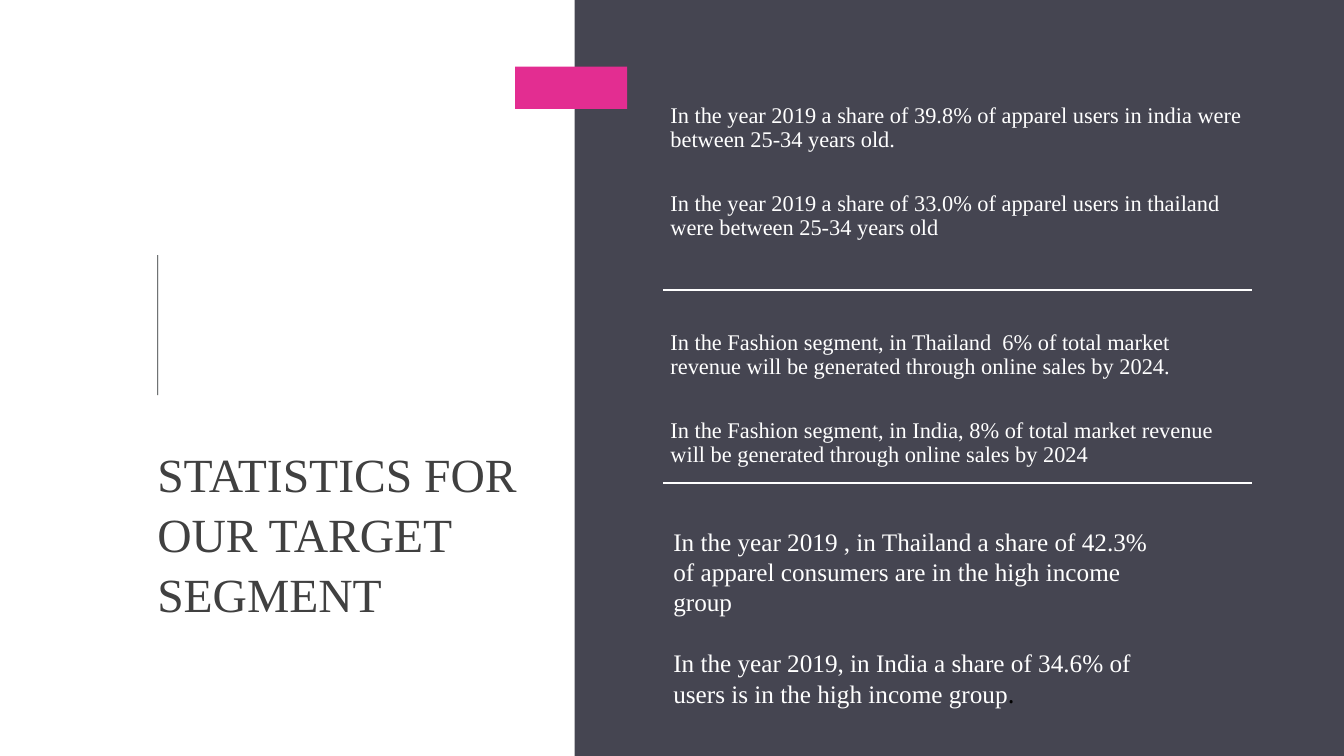
from lxml.etree import SubElement
from pptx import Presentation
from pptx.dml.color import RGBColor as RGB
from pptx.enum.shapes import MSO_CONNECTOR as Link, MSO_SHAPE as Shape
from pptx.enum.text import MSO_ANCHOR as Anchor, MSO_AUTO_SIZE as Fit
from pptx.oxml.ns import qn
from pptx.util import Inches, Pt

SERIF, SANS = "Times New Roman", "Open Sans"
HUES = {"panel": "454551", "rule": "24282B", "accent": "E32D91",
        "title": "404040", "white": "FFFFFF", "black": "000000"}

TITLE = "STATISTICS FOR OUR TARGET SEGMENT"
AGES = [
    "In the year 2019 a share of 39.8% of apparel users in india were between 25-34 years old.",
    "In the year 2019 a share of 33.0% of apparel users in thailand  were between 25-34 years old",
]
SALES = [
    "In the Fashion segment, in Thailand  6% of total market revenue will be generated through online sales by 2024.",
    "In the Fashion segment, in India, 8% of total market revenue will be generated through online sales by 2024",
]
INCOME = [
    "In the year 2019 , in Thailand a share of 42.3% of apparel consumers are in the high income group",
    "In the year 2019, in India a share of 34.6% of users is in the high income group",
]

# fill, left, top, width, height
BLOCKS = [
    ("panel", 5.7, 0, 7.63, 7.5),
    ("rule", 1.56, 2.53, 0.01, 1.39),
    ("accent", 5.11, 0.66, 1.11, 0.42),
]
LEFT, TOP, WIDE, ROW = 6.58, 0.96, 5.84, 1.915
PAD = 0.07
# texts, top inset
ROWS = [(AGES, PAD), (SALES, 0.41)]


def color(name):
    return RGB.from_string(HUES[name])


def add_run(para, text, size, hue="white", face=SERIF):
    run = para.add_run()
    run.text = text
    run.font.name, run.font.size = face, Pt(size)
    run.font.color.rgb = color(hue)


def set_pads(frame, left, top, right, bottom):
    frame.margin_left, frame.margin_top = Inches(left), Inches(top)
    frame.margin_right, frame.margin_bottom = Inches(right), Inches(bottom)


def add_text(slide, box, texts, size, line, gap):
    """Add a wrapped text box; gap is the space in points between paragraphs."""
    frame = slide.shapes.add_textbox(*map(Inches, box)).text_frame
    frame.word_wrap = True
    for i, text in enumerate(texts):
        para = frame.add_paragraph() if i else frame.paragraphs[0]
        para.line_spacing = line
        if i < len(texts) - 1:
            para.space_after = Pt(gap)
        add_run(para, text, size)
    return frame


def add_block(slide, hue, *box):
    block = slide.shapes.add_shape(Shape.RECTANGLE, *map(Inches, box))
    block.shadow.inherit = False
    block.fill.solid()
    block.fill.fore_color.rgb = color(hue)
    block.line.fill.background()


def add_rule(slide, y):
    rule = slide.shapes.add_connector(
        Link.STRAIGHT, Inches(LEFT), Inches(y), Inches(LEFT + WIDE), Inches(y))
    rule.line.color.rgb = color("white")
    rule.line.width = Pt(1.75)
    SubElement(rule._element.spPr, qn("a:effectLst"))


def add_title(slide):
    title = slide.shapes.title
    title.left, title.top = Inches(1.56), Inches(4.41)
    title.width, title.height = Inches(4), Inches(1.76)
    frame = title.text_frame
    frame.word_wrap = True
    frame.auto_size = Fit.NONE
    frame.vertical_anchor = Anchor.BOTTOM
    set_pads(frame, 0, 0, 0, 0)
    para = frame.paragraphs[0]
    para.alignment = 1
    para.line_spacing = 1.05
    add_run(para, TITLE, 34, "title")


def main():
    deck = Presentation()
    deck.slide_width, deck.slide_height = Inches(13.33), Inches(7.5)
    slide = deck.slides.add_slide(deck.slide_layouts[5])
    add_title(slide)
    for block in BLOCKS:
        add_block(slide, *block)
    for i, (texts, inset) in enumerate(ROWS):
        top = TOP + i * ROW
        frame = add_text(slide, (LEFT, top, WIDE, ROW), texts, 16, 0.9, 28.5)
        set_pads(frame, PAD, inset, PAD, PAD)
        add_rule(slide, top + ROW)
    frame = add_text(slide, (LEFT, 5.17, 5.09, 1.92), INCOME, 18, 1, 22)
    add_run(frame.paragraphs[-1], ".", 18, "black", SANS)
    deck.save("out.pptx")


if __name__ == "__main__":
    main()
